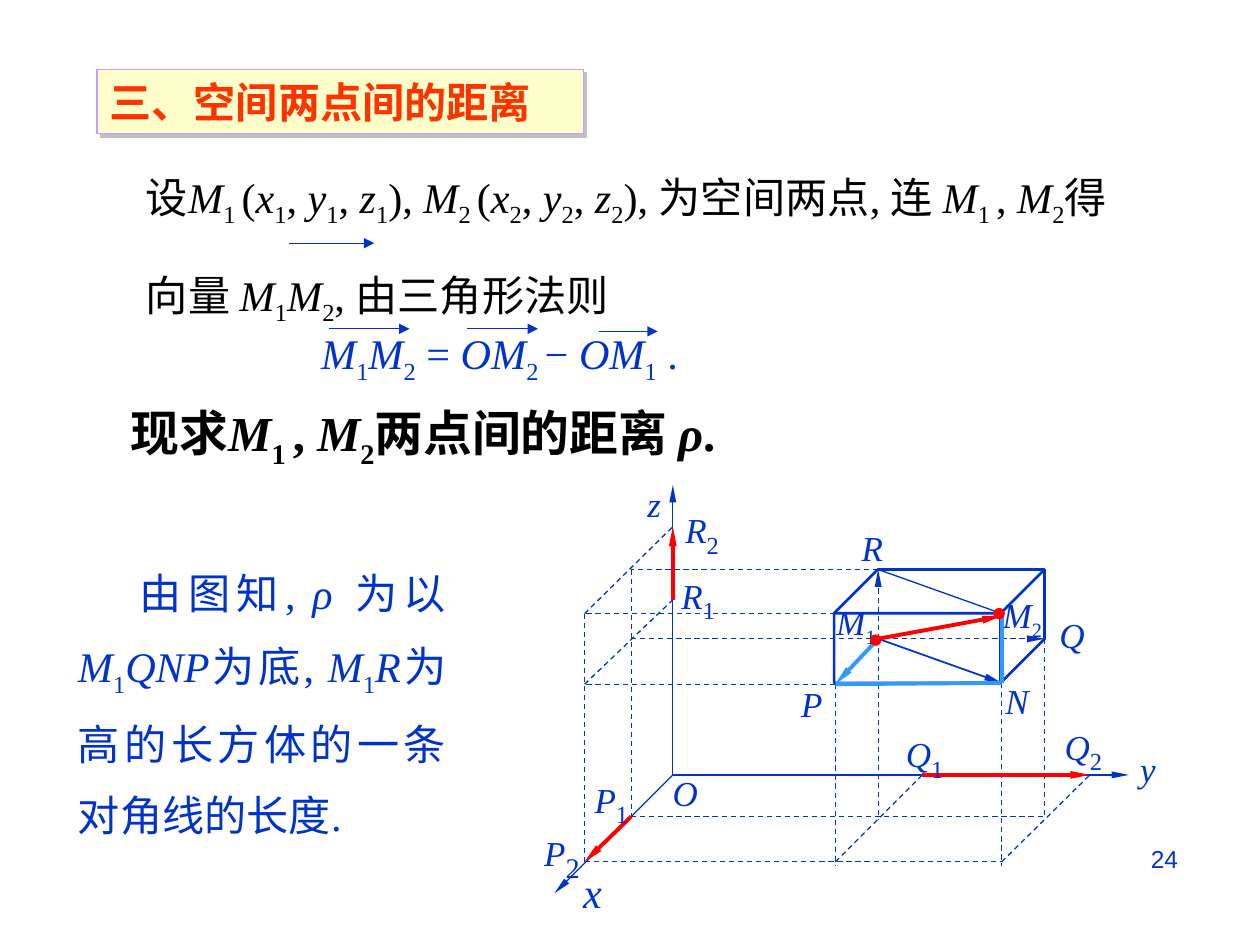
from dataclasses import dataclass

from lxml.etree import SubElement
from pptx import Presentation
from pptx.dml.color import RGBColor
from pptx.enum.dml import MSO_LINE
from pptx.enum.shapes import MSO_CONNECTOR, MSO_SHAPE
from pptx.enum.text import PP_ALIGN
from pptx.oxml.ns import qn
from pptx.util import Inches, Pt


@dataclass(frozen=True)
class Theme:
    serif: str = "Times New Roman"
    sans: str = "Arial"
    blue: RGBColor = RGBColor(0x00, 0x33, 0xCC)
    sky: RGBColor = RGBColor(0x33, 0x99, 0xFF)
    red: RGBColor = RGBColor(0xFF, 0x00, 0x00)
    black: RGBColor = RGBColor(0x00, 0x00, 0x00)
    title: RGBColor = RGBColor(0xFF, 0x33, 0x00)
    title_fill: RGBColor = RGBColor(0xFF, 0xFF, 0xCC)
    title_line: RGBColor = RGBColor(0xCC, 0x99, 0xFF)
    body_size: float = 24.1
    large_size: float = 27.9
    label_size: float = 20
    number_size: float = 14
    thin: float = 0.75
    thick: float = 2.25


THEME = Theme()
prs = Presentation()
prs.slide_width, prs.slide_height = Inches(10), Inches(7.5)
slide = prs.slides.add_slide(prs.slide_layouts[6])
shapes = slide.shapes


def write(frame, text, size=THEME.body_size, sub_size=None, color=THEME.blue,
          font=THEME.serif, bold=False, align=PP_ALIGN.LEFT, spacing=None,
          indent=0, wrap=True):
    """Write runs parted by "|"; "/" opens an italic run, "_" a subscript."""
    frame.word_wrap = wrap
    paragraph = frame.paragraphs[0]
    paragraph.alignment = align
    if spacing:
        paragraph.line_spacing = spacing
    if indent:
        paragraph._p.get_or_add_pPr().set("indent", str(Inches(indent)))
    for piece in text.split("|"):
        run = paragraph.add_run()
        run.text = piece.lstrip("/_")
        run.font.name, run.font.bold = font, bold
        run.font.italic = piece.startswith("/")
        run.font.size = Pt(size)
        run.font.color.rgb = color
        if piece.startswith("_"):
            run.font.size = Pt(sub_size or size)
            run._r.get_or_add_rPr().set("baseline", "-25000")


def draw_line(start, end, color=THEME.blue, width=THEME.thin, dashed=False,
              arrow=None):
    """Draw a line; arrow is the (width, length) of a head at its end."""
    line = shapes.add_connector(MSO_CONNECTOR.STRAIGHT, *map(Inches, start + end))
    line.line.color.rgb = color
    line.line.width = Pt(width)
    if dashed:
        line.line.dash_style = MSO_LINE.DASH
    if arrow:
        SubElement(line.line._get_or_add_ln(), qn("a:tailEnd"),
                   type="triangle", w=arrow[0], len=arrow[1])
    SubElement(line._element.spPr, qn("a:effectLst"))


# Heading with its offset shadow
heading = shapes.add_shape(MSO_SHAPE.RECTANGLE, *map(Inches, (0.77, 0.55, 3.86, 0.51)))
heading.fill.solid()
heading.fill.fore_color.rgb = THEME.title_fill
heading.line.color.rgb = THEME.title_line
heading.line.width = Pt(THEME.thin)
heading.shadow.inherit = False
shadow = SubElement(heading._element.spPr.find(qn("a:effectLst")), qn("a:outerShdw"),
                    dist=str(Pt(2.8)), dir=str(45 * 60000), algn="ctr", rotWithShape="0")
SubElement(shadow, qn("a:srgbClr"), val="C0C0C0")
write(heading.text_frame, "三、空间两点间的距离", color=THEME.title, bold=True)

# Statements
statements = [
    ((2.45, 2.55, 3.15, 0.51),
     "/M|_1|/M|_2| = |/OM|_2 |− |/OM|_1| .", dict(wrap=False)),
    ((0.94, 3.15, 4.93, 0.57), "现求|/M|_1 |, |/M|_2|两点间的距离 |/ρ|.",
     dict(size=THEME.large_size, color=THEME.black, bold=True)),
    ((1.06, 0.99, 7.83, 1.38),
     "设|/M|_1 |(|/x|_1|, |/y|_1|, |/z|_1|), |/M|_2 |(|/x|_2|, |/y|_2|, |/z|_2|), "
     "为空间两点, 连 |/M|_1 |, |/M|_2|得向量 |/M|_1|/M|_2|, 由三角形法则",
     dict(color=THEME.black, spacing=1.7)),
    ((0.52, 4.29, 3.12, 2.37),
     "由图知, |/ρ| 为以|/M|_1|/QNP|为底, |/M|_1|/R|为高的长方体的一条对角线的长度.",
     dict(align=PP_ALIGN.JUSTIFY, spacing=1.4, indent=0.49)),
]
for box, text, style in statements:
    write(shapes.add_textbox(*map(Inches, box)).text_frame, text, **style)

# Arrows over the vector names
for left, right, y in [(2.61, 3.25, 2.61), (3.71, 4.27, 2.61),
                       (4.75, 5.22, 2.63), (2.29, 2.97, 1.93)]:
    draw_line((left, y), (right, y), arrow=("med", "med"))

# Points of the diagram
O, P1, P2 = (5.34, 6.15), (5.01, 6.48), (4.64, 6.84)
Q1, Q2, R1, R2 = (7.32, 6.15), (8.65, 6.15), (5.34, 4.76), (5.34, 4.18)
M1, M2, N, P = (6.97, 5.07), (7.95, 4.87), (7.95, 5.42), (6.63, 5.43)
R, Q = (6.97, 4.52), (8.29, 5.07)
NARROW = ("sm", "lg")

for axis_end in [(8.96, 6.15), (5.34, 3.85), (4.4, 7.09)]:
    draw_line(O, axis_end, arrow=NARROW)

box_solid = shapes.add_shape(MSO_SHAPE.CUBE, *map(Inches, (6.62, 4.52, 1.67, 0.9)))
box_solid.adjustments[0] = 0.386
box_solid.fill.background()
box_solid.line.color.rgb = THEME.blue
box_solid.line.width = Pt(1.5)
box_solid.shadow.inherit = False

projections = [
    (P, (P[0], 6.87)), (N, (N[0], 6.87)), (Q, (Q[0], P1[1])), (M1, (M1[0], 6.51)),
    (P2, (N[0], P2[1])), (P1, (Q[0], P1[1])),
    ((N[0], P2[1]), Q2), ((P[0], P2[1]), Q1),
    ((P2[0], M2[1]), P2), ((P1[0], R[1]), P1),
    ((P[0], M2[1]), (P2[0], M2[1])), (R, (P1[0], R[1])), (P, (P2[0], P[1])),
    ((P2[0], M2[1]), R2), ((P2[0], P[1]), R1),
]
for start, end in projections:
    draw_line(start, end, dashed=True)
draw_line((P1[0], M1[1]), Q, dashed=True, arrow=NARROW)
draw_line(M1, R, dashed=True, arrow=NARROW)

draw_line(M1, N, width=1, arrow=NARROW)
draw_line(R, M2)
for start, end in [(M1, (7.95, 4.89)), (R1, R2), (P1, P2), (Q1, Q2)]:
    draw_line(start, end, color=THEME.red, width=THEME.thick, arrow=NARROW)
draw_line(M1, P, color=THEME.sky, width=THEME.thick, arrow=NARROW)

# Labels: left, top, width, text, subscript size
small, body, large = THEME.label_size, THEME.body_size, THEME.large_size
labels = [
    (6.26, 5.37, 0.47, "/P", small), (5.24, 6.07, 0.4, "/O", small),
    (8.95, 5.88, 0.33, "/y", small), (5.04, 3.78, 0.31, "/z", small),
    (6.74, 4.13, 0.37, "/R", small), (8.31, 4.82, 0.4, "/Q", small),
    (7.88, 5.34, 0.39, "/N", small), (5.31, 4.45, 0.52, "/R|_1", body),
    (5.34, 3.93, 0.52, "/R|_2", body), (4.22, 6.44, 0.52, "/P|_2", large),
    (4.62, 6.07, 0.52, "/P|_1", body), (7.09, 5.71, 0.52, "/Q|_1", body),
    (8.35, 5.65, 0.52, "/Q|_2", body), (7.86, 4.66, 0.55, "/M|_2", small),
    (6.54, 4.72, 0.55, "/M|_1", small),
]
for left, top, width, text, sub_size in labels:
    label = shapes.add_textbox(*map(Inches, (left, top, width, 0.44)))
    write(label.text_frame, text, size=small, sub_size=sub_size)
x_label = shapes.add_textbox(*map(Inches, (4.53, 6.83, 0.35, 0.51)))
write(x_label.text_frame, "/x")

# Front edges at N, and the two end points
for start in (M2, P):
    draw_line(start, N, color=THEME.sky, width=THEME.thick)
for left, top in [(6.91, 5.04), (7.89, 4.83)]:
    dot = shapes.add_shape(MSO_SHAPE.OVAL, *map(Inches, (left, top, 0.08, 0.08)))
    dot.fill.solid()
    dot.fill.fore_color.rgb = THEME.red
    dot.line.color.rgb = THEME.red
    dot.line.width = Pt(THEME.thin)
    dot.shadow.inherit = False

page_number = shapes.add_textbox(*map(Inches, (7.17, 6.58, 2.5, 0.52))).text_frame
page_number.margin_left = page_number.margin_right = Inches(0.32)
page_number.margin_top = page_number.margin_bottom = Inches(0.16)
write(page_number, "24", size=THEME.number_size, font=THEME.sans, align=PP_ALIGN.RIGHT)

prs.save("out.pptx")
